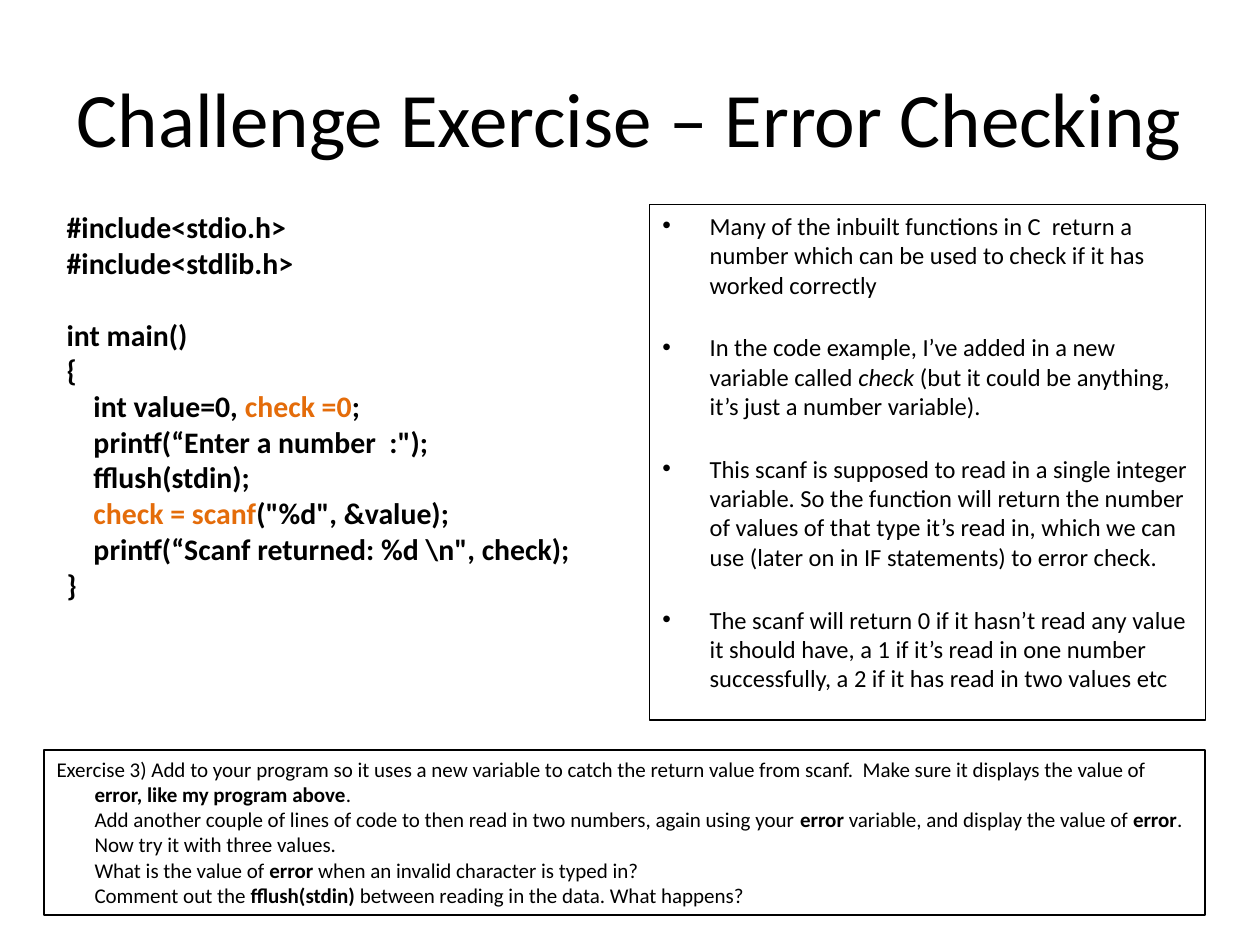
from dataclasses import dataclass
from typing import NamedTuple

from pptx import Presentation
from pptx.dml.color import RGBColor
from pptx.enum.text import MSO_ANCHOR, MSO_AUTO_SIZE, PP_ALIGN
from pptx.util import Pt


@dataclass(frozen=True)
class Theme:
    font: str = "Calibri"
    ink: RGBColor = RGBColor(0, 0, 0)
    accent: RGBColor = RGBColor(0xE4, 0x6C, 0x0A)
    title: float = 44
    code: float = 17
    notes: float = 14
    task: float = 12
    border: float = 0.75


class Box(NamedTuple):
    left: float
    top: float
    width: float
    height: float


class Span(NamedTuple):
    text: str
    bold: bool = False
    italic: bool = False
    accent: bool = False


class Para(NamedTuple):
    spans: list[Span]
    before: float = 0
    margin: float = 0
    first: float = 0


THEME = Theme()

# Wording
CODE = [
    [Span("#include<stdio.h>")],
    [Span("#include<stdlib.h>")],
    [Span("int main()")],
    [Span("{")],
    [Span("    int value=0, "), Span("check =0", accent=True), Span(";")],
    [Span("    printf(“Enter a number  :\");")],
    [Span("    fflush(stdin);")],
    [Span("    check = scanf", accent=True), Span("(\"%d\", &value);")],
    [Span("    printf(“Scanf returned: %d \\n\", check);")],
    [Span("}")],
]
MAIN_LINE = 2  # set apart from the includes

NOTES = [
    [Span("Many of the inbuilt functions in C  return a number which can be "
          "used to check if it has worked correctly")],
    [Span("In the code example, I’ve added in a new variable called "),
     Span("check ", italic=True),
     Span("(but it could be anything, it’s just a number variable).")],
    [Span("This scanf is supposed to read in a single integer variable. So the "
          "function will return the number of values of that type it’s read in, "
          "which we can use (later on in IF statements) to error check.")],
    [Span("The scanf will return 0 if it hasn’t read any value it should have, "
          "a 1 if it’s read in one number successfully, a 2 if it has read in "
          "two values etc")],
]

ERROR = Span("error", bold=True)
TASK = [
    [Span("Exercise 3) Add to your program so it uses a new variable to catch "
          "the return value from scanf.  Make sure it displays the value of")],
    [Span("error, like my program above", bold=True), Span(".")],
    [Span("Add another couple of lines of code to then read in two numbers, "
          "again using your "), ERROR,
     Span(" variable, and display the value of "), ERROR, Span(".")],
    [Span("Now try it with three values.")],
    [Span("What is the value of "), ERROR,
     Span(" when an invalid character is typed in?")],
    [Span("Comment out the "), Span("fflush(stdin) ", bold=True),
     Span("between reading in the data. What happens?")],
]


def place(sp, box: Box) -> None:
    sp.left, sp.top, sp.width, sp.height = (Pt(v) for v in box)


def outline(sp) -> None:
    sp.line.color.rgb = THEME.ink
    sp.line.width = Pt(THEME.border)


def write(sp, paras: list[Para], *, size: float, bold: bool = False,
          align: PP_ALIGN = PP_ALIGN.LEFT,
          anchor: MSO_ANCHOR = MSO_ANCHOR.TOP) -> None:
    tf = sp.text_frame
    tf.word_wrap = True
    tf.auto_size = MSO_AUTO_SIZE.NONE
    tf.vertical_anchor = anchor
    for i, para in enumerate(paras):
        p = tf.add_paragraph() if i else tf.paragraphs[0]
        p.alignment = align
        p.space_before = Pt(para.before)
        pPr = p._p.get_or_add_pPr()
        pPr.set("marL", str(Pt(para.margin)))
        pPr.set("indent", str(Pt(para.first)))
        for span in para.spans:
            r = p.add_run()
            r.text = span.text
            r.font.name = THEME.font
            r.font.size = Pt(size)
            r.font.bold = bold or span.bold
            r.font.italic = span.italic
            r.font.color.rgb = THEME.accent if span.accent else THEME.ink


def add_text(s, box: Box):
    return s.shapes.add_textbox(*(Pt(v) for v in box))


def main() -> None:
    prs = Presentation()
    prs.slide_width, prs.slide_height = Pt(720), Pt(540)
    s = prs.slides.add_slide(prs.slide_layouts[1])

    # Title
    title = s.shapes.title
    place(title, Box(36, 21.6, 648, 90))
    write(title, [Para([Span("Challenge Exercise – Error Checking")])],
          size=THEME.title, align=PP_ALIGN.CENTER, anchor=MSO_ANCHOR.MIDDLE)

    # Bulleted explanation
    notes = s.placeholders[1]
    place(notes, Box(371.3, 116.8, 317.5, 294.6))
    outline(notes)
    write(notes, [Para(spans, before=19 if i else 0, margin=27, first=-27)
                  for i, spans in enumerate(NOTES)], size=THEME.notes)

    # Code example
    code = add_text(s, Box(31, 116, 345.6, 234))
    write(code, [Para(spans, before=20.4 if i == MAIN_LINE else 0)
                 for i, spans in enumerate(CODE)], size=THEME.code, bold=True)

    # Exercise
    task = add_text(s, Box(25.2, 428.6, 663.4, 94.3))
    outline(task)
    write(task, [Para(spans, margin=21.7 if i else 0)
                 for i, spans in enumerate(TASK)], size=THEME.task)

    prs.save("out.pptx")


if __name__ == "__main__":
    main()
